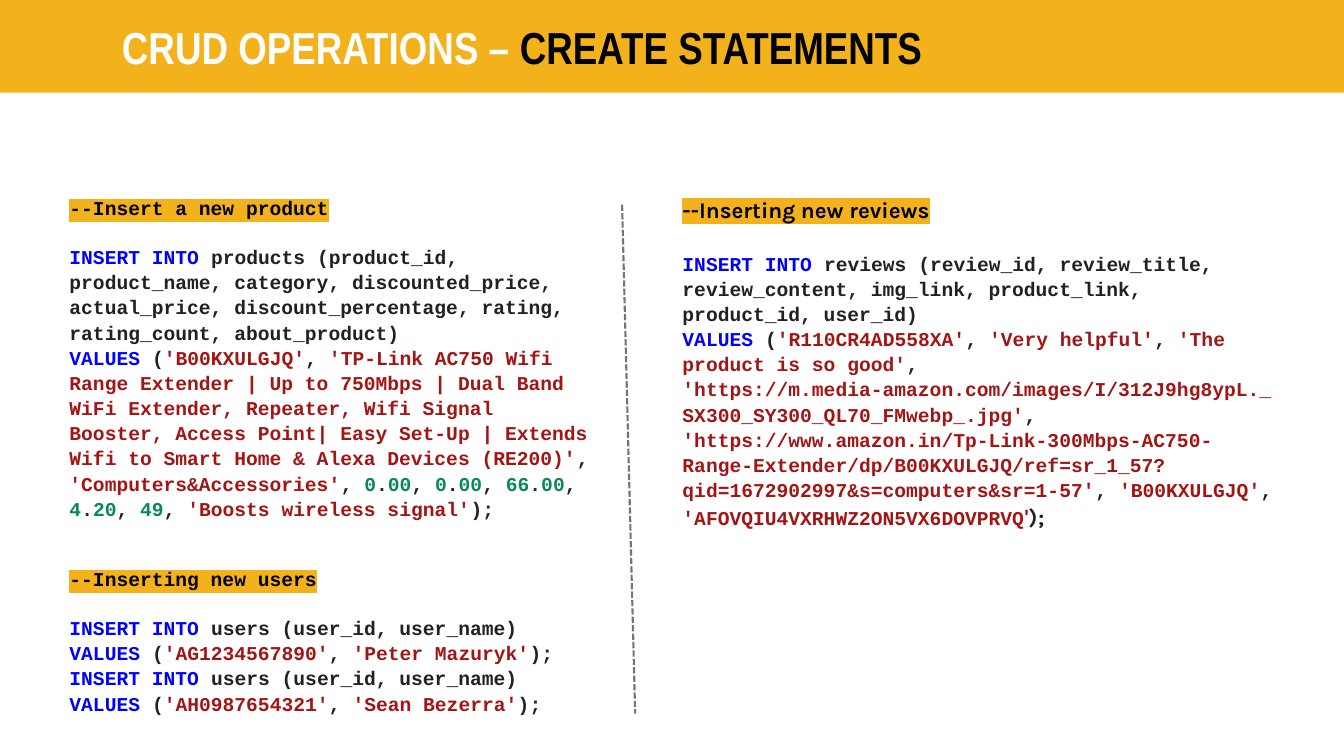
import dataclasses
import itertools

import lxml.etree
import pptx
import pptx.dml.color
import pptx.enum.dml
import pptx.enum.shapes
import pptx.enum.text
import pptx.oxml.ns
import pptx.shapes.connector
import pptx.slide
import pptx.text.text
import pptx.util

RGB = pptx.dml.color.RGBColor
AMBER = RGB(0xF3, 0xB2, 0x1B)
WHITE = RGB(0xFF, 0xFF, 0xFF)
BLACK = RGB(0x00, 0x00, 0x00)
GREY = RGB(0x74, 0x74, 0x74)
CODE_PLAIN = RGB(0x21, 0x21, 0x21)
CODE_KEYWORD = RGB(0x00, 0x00, 0xFF)
CODE_STRING = RGB(0xA3, 0x15, 0x15)
CODE_NUMBER = RGB(0x09, 0x88, 0x5A)

SLIDE_WIDTH = pptx.util.Inches(13.33)
SLIDE_HEIGHT = pptx.util.Inches(7.5)
BAND_HEIGHT = 12.27
TITLE_INDENT = 9.08
LEFT_COLUMN, RIGHT_COLUMN = 4.43, 50.04
TOP_ROW, BOTTOM_ROW = 25.07, 74.13
LINE_SPACING = 1.07
KEYWORDS = ("INSERT INTO", "VALUES")


@dataclasses.dataclass(frozen=True)
class Lettering:
    font: str
    size: int


TITLE = Lettering("Arial Narrow", 32)
CODE = Lettering("Courier New", 14)
KARLA = Lettering("Karla", 16)


@dataclasses.dataclass(frozen=True)
class Statement:
    """Commented SQL; its place is in percent of the slide's size."""
    left: float
    top: float
    width: float
    height: float
    comment: str
    lines: tuple[str, ...]
    comment_lettering: Lettering = CODE
    gap: float = 17
    karla_ending: int = 0


STATEMENTS = (
    Statement(
        LEFT_COLUMN, TOP_ROW, 40.89, 42.13, "--Insert a new product",
        ("INSERT INTO products (product_id, product_name, category, "
         "discounted_price, actual_price, discount_percentage, rating, "
         "rating_count, about_product)",
         "VALUES ('B00KXULGJQ', 'TP-Link AC750 Wifi Range Extender | Up to "
         "750Mbps | Dual Band WiFi Extender, Repeater, Wifi Signal Booster, "
         "Access Point| Easy Set-Up | Extends Wifi to Smart Home & Alexa "
         "Devices (RE200)', 'Computers&Accessories', 0.00, 0.00, 66.00, "
         "4.20, 49, 'Boosts wireless signal');")),
    Statement(
        LEFT_COLUMN, BOTTOM_ROW, 52.21, 20.13, "--Inserting new users",
        ("INSERT INTO users (user_id, user_name)",
         "VALUES ('AG1234567890', 'Peter Mazuryk');",
         "INSERT INTO users (user_id, user_name)",
         "VALUES ('AH0987654321', 'Sean Bezerra');")),
    Statement(
        RIGHT_COLUMN, TOP_ROW, 45.61, 43.47, "--Inserting new reviews",
        ("INSERT INTO reviews (review_id, review_title, review_content, "
         "img_link, product_link, product_id, user_id)",
         "VALUES ('R110CR4AD558XA', 'Very helpful', 'The product is so good', "
         "'https://m.media-amazon.com/images/I/"
         "312J9hg8ypL._SX300_SY300_QL70_FMwebp_.jpg', "
         "'https://www.amazon.in/Tp-Link-300Mbps-AC750-Range-Extender/dp/"
         "B00KXULGJQ/ref=sr_1_57?qid=1672902997&s=computers&sr=1-57', "
         "'B00KXULGJQ', 'AFOVQIU4VXRHWZ2ON5VX6DOVPRVQ');"),
        comment_lettering=KARLA, gap=19, karla_ending=3),
)


def across(percent: float) -> int:
    return round(SLIDE_WIDTH * percent / 100)


def down(percent: float) -> int:
    return round(SLIDE_HEIGHT * percent / 100)


def add_run(paragraph: pptx.text.text._Paragraph, text: str,
            lettering: Lettering, colour: RGB,
            highlight: RGB | None = None) -> None:
    run = paragraph.add_run()
    run.text = text
    run.font.size = pptx.util.Pt(lettering.size)
    run.font.bold = True
    run.font.color.rgb = colour
    if highlight is not None:
        qn = pptx.oxml.ns.qn
        marker = lxml.etree.SubElement(run.font._element, qn("a:highlight"))
        lxml.etree.SubElement(marker, qn("a:srgbClr"), val=str(highlight))
    run.font.name = lettering.font


def syntax_colours(line: str) -> list[RGB]:
    """Return one colour for each character of a line of SQL."""
    keyword = next((word for word in KEYWORDS if line.startswith(word)), "")
    colours = [CODE_KEYWORD] * len(keyword)
    quoted = False
    for character in line[len(keyword):]:
        if quoted or character == "'":
            colours.append(CODE_STRING)
        else:
            colours.append(CODE_NUMBER if character.isdigit() else CODE_PLAIN)
        quoted ^= character == "'"
    return colours


def add_code_line(paragraph: pptx.text.text._Paragraph, line: str,
                  karla_ending: int) -> None:
    body = len(line) - karla_ending
    letterings = [CODE] * body + [KARLA] * karla_ending
    characters = zip(line, letterings, syntax_colours(line))
    for (lettering, colour), group in itertools.groupby(
            characters, key=lambda character: character[1:]):
        text = "".join(character[0] for character in group)
        add_run(paragraph, text, lettering, colour)


def add_statement(slide: pptx.slide.Slide, statement: Statement) -> None:
    frame = slide.shapes.add_textbox(
        across(statement.left), down(statement.top),
        across(statement.width), down(statement.height)).text_frame
    frame.word_wrap = True
    frame.auto_size = pptx.enum.text.MSO_AUTO_SIZE.SHAPE_TO_FIT_TEXT
    add_run(frame.paragraphs[0], statement.comment,
            statement.comment_lettering, BLACK, AMBER)
    for line in statement.lines:
        is_last = line is statement.lines[-1]
        add_code_line(frame.add_paragraph(), line,
                      statement.karla_ending if is_last else 0)
    for paragraph in frame.paragraphs:
        paragraph.line_spacing = LINE_SPACING
    frame.paragraphs[1].space_before = pptx.util.Pt(statement.gap)


def add_title_band(slide: pptx.slide.Slide) -> None:
    band = slide.shapes.add_shape(
        pptx.enum.shapes.MSO_SHAPE.RECTANGLE, 0, 0,
        SLIDE_WIDTH, down(BAND_HEIGHT))
    band.shadow.inherit = False
    band.fill.solid()
    band.fill.fore_color.rgb = AMBER
    band.line.fill.background()
    frame = band.text_frame
    frame.margin_left = across(TITLE_INDENT)
    frame.vertical_anchor = pptx.enum.text.MSO_ANCHOR.MIDDLE
    heading = frame.paragraphs[0]
    heading.alignment = pptx.enum.text.PP_ALIGN.LEFT
    add_run(heading, "CRUD OPERATIONS – ", TITLE, WHITE)
    add_run(heading, "CREATE STATEMENTS", TITLE, BLACK)


def add_divider(slide: pptx.slide.Slide) -> None:
    divider = slide.shapes.add_connector(
        pptx.enum.shapes.MSO_CONNECTOR.STRAIGHT,
        across(46.29), down(27.07), across(47.26), down(94.4))
    divider.line.color.rgb = GREY
    divider.line.width = pptx.util.Pt(1.5)
    divider.line.dash_style = pptx.enum.dml.MSO_LINE.SQUARE_DOT
    lxml.etree.SubElement(divider._element.spPr,
                          pptx.oxml.ns.qn("a:effectLst"))


def main() -> None:
    presentation = pptx.Presentation()
    presentation.slide_width = SLIDE_WIDTH
    presentation.slide_height = SLIDE_HEIGHT
    slide = presentation.slides.add_slide(presentation.slide_layouts[6])
    add_title_band(slide)
    for statement in STATEMENTS:
        add_statement(slide, statement)
    add_divider(slide)
    presentation.save("out.pptx")


if __name__ == "__main__":
    main()
